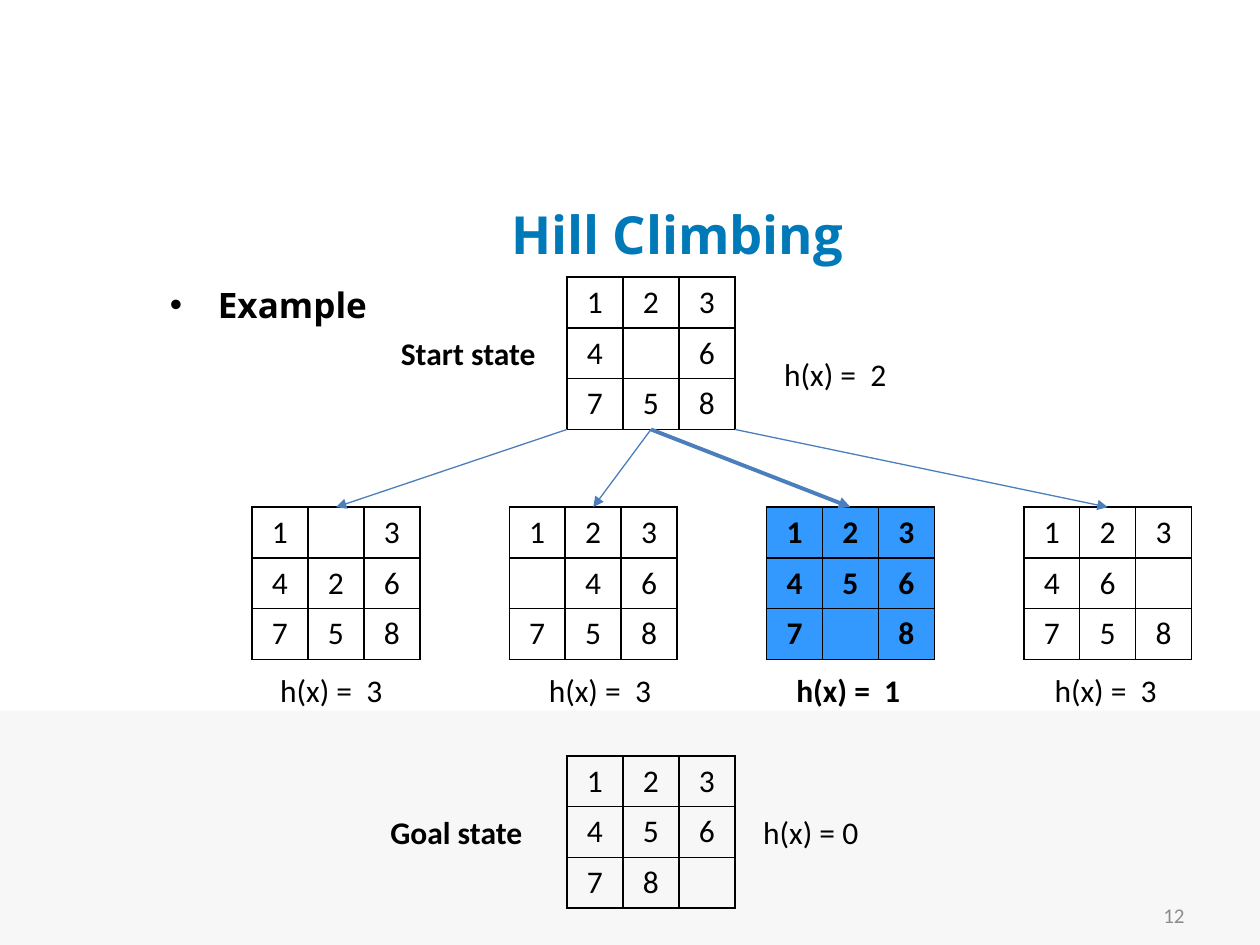
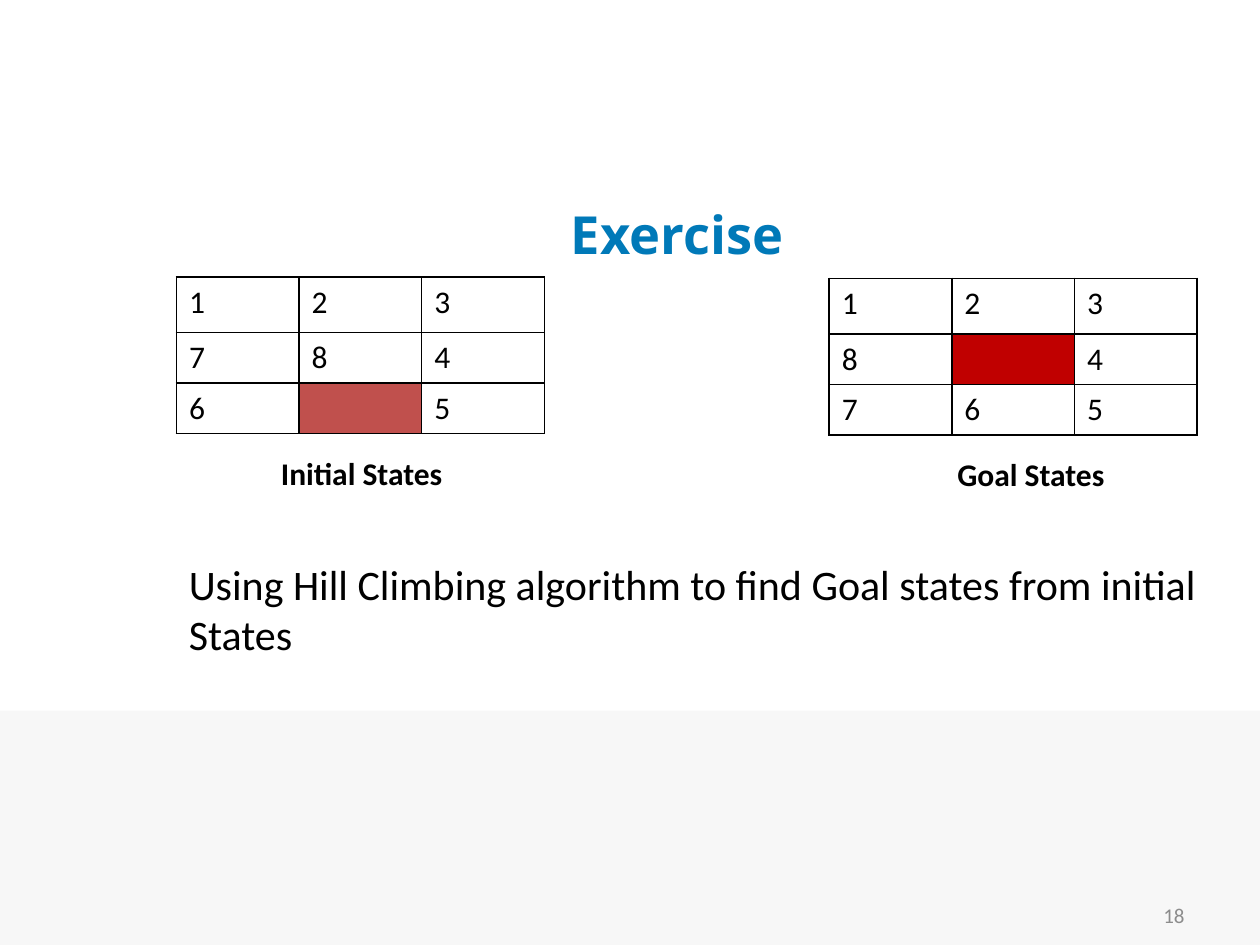
"""Build two slides on hill climbing with the 8-puzzle."""
import dataclasses

import lxml.etree
import pptx
import pptx.dml.color
import pptx.enum.shapes
import pptx.enum.text
import pptx.oxml.ns
import pptx.slide
import pptx.text.text
import pptx.util

Pt = pptx.util.Pt
Align = pptx.enum.text.PP_ALIGN
Anchor = pptx.enum.text.MSO_ANCHOR
qn = pptx.oxml.ns.qn


@dataclasses.dataclass(frozen=True)
class Theme:
    heading_font: str = "Open Sans"
    body_font: str = "Calibri"
    title_color: str = "0079B8"
    ink: str = "000000"
    muted: str = "8C8C8C"
    band: str = "F7F7F7"
    arrow: str = "4B7EBC"
    best: str = "3399FF"
    initial_blank: str = "C0504D"
    goal_blank: str = "C00000"
    title_size: float = 30
    task_size: float = 24
    bullet_size: float = 20
    text_size: float = 18
    number_size: float = 12


THEME = Theme()


@dataclasses.dataclass(frozen=True)
class Style:
    size: float = THEME.text_size
    color: str = THEME.ink
    font: str = THEME.body_font
    bold: bool = False


PLAIN = Style()
STRONG = Style(bold=True)
TITLE = Style(THEME.title_size, THEME.title_color, THEME.heading_font, True)
BULLET = Style(THEME.bullet_size, THEME.ink, THEME.heading_font, True)
NUMBER = Style(THEME.number_size, THEME.muted)
TASK = Style(THEME.task_size)


@dataclasses.dataclass(frozen=True)
class Box:
    left: float
    top: float
    width: float
    height: float = 29


@dataclasses.dataclass(frozen=True)
class Label:
    text: str
    box: Box
    style: Style = PLAIN


@dataclasses.dataclass(frozen=True)
class GridLook:
    column: float
    rows: tuple[float, ...]
    align: Align
    anchor: Anchor
    pad: float


@dataclasses.dataclass(frozen=True)
class Puzzle:
    tiles: tuple[str, str, str]
    left: float
    top: float
    style: Style = PLAIN
    fill: str | None = None
    blank_fill: str | None = None


@dataclasses.dataclass(frozen=True)
class Successor:
    tiles: tuple[str, str, str]
    score: str
    label_left: float
    label_width: float
    arrow_start: float
    best: bool = False


COMPACT = GridLook(32, (29, 29, 29), Align.CENTER, Anchor.MIDDLE, 3)
WIDE = GridLook(70.1, (31.7, 28.4, 28.4), Align.LEFT, Anchor.TOP, 3.6)

START = Puzzle(("123", "4 6", "758"), 324, 158.4)
GOAL = Puzzle(("123", "456", "78 "), 324, 432)
START_WIDTH = 3 * COMPACT.column
START_BOTTOM = START.top + sum(COMPACT.rows)
SUCCESSOR_LEFT, SUCCESSOR_STEP, SUCCESSOR_TOP = 144, 147, 289.8
SUCCESSORS = (
    Successor(("1 3", "426", "758"), "h(x) =  3", 153, 77, 0),
    Successor(("123", " 46", "758"), "h(x) =  3", 306.5, 74, 0.5),
    Successor(("123", "456", "7 8"), "h(x) =  1", 448, 75, 0.5, True),
    Successor(("123", "46 ", "758"), "h(x) =  3", 595.5, 74, 1),
)
SEARCH_LABELS = (
    Label("Start state", Box(222, 187.2, 92), STRONG),
    Label("Goal state", Box(216, 460.8, 91), STRONG),
    Label("h(x) =  2", Box(441, 199.4, 78)),
    Label("h(x) = 0", Box(429, 460.8, 74)),
)
EXERCISE_PUZZLES = (
    Puzzle(("123", "784", "6 5"), 100.8, 158.4, blank_fill=THEME.initial_blank),
    Puzzle(("123", "8 4", "765"), 473.8, 159.1, blank_fill=THEME.goal_blank),
)
EXERCISE_LABELS = (
    Label("Initial States", Box(153.4, 255.6, 107), STRONG),
    Label("Goal States", Box(540, 256.3, 99.4), STRONG),
)


def rgb(color: str) -> pptx.dml.color.RGBColor:
    return pptx.dml.color.RGBColor.from_string(color)


def add_run(paragraph: pptx.text.text._Paragraph, text: str, style: Style) -> None:
    run = paragraph.add_run()
    run.text = text
    run.font.name = style.font
    run.font.size = Pt(style.size)
    run.font.bold = style.bold
    run.font.color.rgb = rgb(style.color)


def add_text(
    slide: pptx.slide.Slide,
    label: Label,
    align: Align = Align.LEFT,
    anchor: Anchor = Anchor.TOP,
    wrap: bool = True,
) -> pptx.text.text._Paragraph:
    box = label.box
    frame = slide.shapes.add_textbox(
        Pt(box.left), Pt(box.top), Pt(box.width), Pt(box.height)
    ).text_frame
    frame.word_wrap = wrap
    frame.vertical_anchor = anchor
    if not wrap:
        frame.auto_size = pptx.enum.text.MSO_AUTO_SIZE.SHAPE_TO_FIT_TEXT
    paragraph = frame.paragraphs[0]
    paragraph.alignment = align
    add_run(paragraph, label.text, label.style)
    return paragraph


def add_labels(slide: pptx.slide.Slide, labels: tuple[Label, ...]) -> None:
    for label in labels:
        add_text(slide, label, wrap=False)


def add_bullet(slide: pptx.slide.Slide, label: Label) -> None:
    properties = add_text(slide, label)._p.get_or_add_pPr()
    properties.set("marL", str(Pt(27.4)))
    properties.set("indent", str(-Pt(27.4)))
    lxml.etree.SubElement(properties, qn("a:buFont"), typeface="Arial")
    lxml.etree.SubElement(properties, qn("a:buChar"), char="•")


def add_borders(cell: pptx.table._Cell) -> None:
    properties = cell._tc.get_or_add_tcPr()
    for side in ("lnL", "lnR", "lnT", "lnB"):
        border = lxml.etree.SubElement(properties, qn(f"a:{side}"), w=str(Pt(1)))
        fill = lxml.etree.SubElement(border, qn("a:solidFill"))
        lxml.etree.SubElement(fill, qn("a:srgbClr"), val=THEME.ink)


def add_puzzle(slide: pptx.slide.Slide, puzzle: Puzzle, look: GridLook) -> None:
    table = slide.shapes.add_table(
        3, 3, Pt(puzzle.left), Pt(puzzle.top), Pt(3 * look.column), Pt(sum(look.rows))
    ).table
    table.first_row = table.horz_banding = False
    for column in table.columns:
        column.width = Pt(look.column)
    for row, height, tiles in zip(table.rows, look.rows, puzzle.tiles):
        row.height = Pt(height)
        for cell, tile in zip(row.cells, tiles):
            add_borders(cell)
            cell.margin_top = cell.margin_bottom = Pt(look.pad)
            cell.vertical_anchor = look.anchor
            blank = tile == " "
            color = (puzzle.blank_fill if blank else None) or puzzle.fill
            if color:
                cell.fill.solid()
                cell.fill.fore_color.rgb = rgb(color)
            else:
                cell.fill.background()
            paragraph = cell.text_frame.paragraphs[0]
            paragraph.alignment = look.align
            if not blank:
                add_run(paragraph, tile, puzzle.style)


def add_arrow(
    slide: pptx.slide.Slide,
    start: tuple[float, float],
    end: tuple[float, float],
    weight: float,
) -> None:
    arrow = slide.shapes.add_connector(
        pptx.enum.shapes.MSO_CONNECTOR.STRAIGHT, *map(Pt, start + end)
    )
    arrow.line.color.rgb = rgb(THEME.arrow)
    arrow.line.width = Pt(weight)
    line = arrow.line._get_or_add_ln()
    lxml.etree.SubElement(line, qn("a:tailEnd"), type="triangle")
    lxml.etree.SubElement(arrow._element.spPr, qn("a:effectLst"))


def add_slide(
    deck: pptx.presentation.Presentation, title: str, number: str
) -> pptx.slide.Slide:
    slide = deck.slides.add_slide(deck.slide_layouts[6])
    band = slide.shapes.add_shape(
        pptx.enum.shapes.MSO_SHAPE.RECTANGLE, Pt(0), Pt(406), Pt(720), Pt(134)
    )
    band.shadow.inherit = False
    band.fill.solid()
    band.fill.fore_color.rgb = rgb(THEME.band)
    band.line.fill.background()
    heading = Label(title, Box(90, 108, 594, 50.4), TITLE)
    add_text(slide, heading, Align.CENTER, Anchor.MIDDLE)
    footer = Label(number, Box(516, 508.5, 168, 28.8), NUMBER)
    add_text(slide, footer, Align.RIGHT, Anchor.MIDDLE)
    return slide


def build_search(deck: pptx.presentation.Presentation) -> None:
    slide = add_slide(deck, "Hill Climbing", "12")
    add_bullet(slide, Label("Example", Box(90, 158.4, 599, 351.4), BULLET))
    for puzzle in (START, GOAL):
        add_puzzle(slide, puzzle, COMPACT)
    for index, successor in enumerate(SUCCESSORS):
        left = SUCCESSOR_LEFT + index * SUCCESSOR_STEP
        style = STRONG if successor.best else PLAIN
        fill = THEME.best if successor.best else None
        state = Puzzle(successor.tiles, left, SUCCESSOR_TOP, style, fill)
        add_puzzle(slide, state, COMPACT)
        add_arrow(
            slide,
            (START.left + successor.arrow_start * START_WIDTH, START_BOTTOM),
            (left + START_WIDTH / 2, SUCCESSOR_TOP),
            2.25 if successor.best else 0.75,
        )
        score_box = Box(successor.label_left, 379.8, successor.label_width)
        add_labels(slide, (Label(successor.score, score_box, style),))
    add_labels(slide, SEARCH_LABELS)


def build_exercise(deck: pptx.presentation.Presentation) -> None:
    slide = add_slide(deck, "Exercise", "18")
    for puzzle in EXERCISE_PUZZLES:
        add_puzzle(slide, puzzle, WIDE)
    add_labels(slide, EXERCISE_LABELS)
    task = "Using Hill Climbing algorithm to find Goal states from initial States"
    add_text(slide, Label(task, Box(100.8, 315.4, 619.2, 65.5), TASK))


def main() -> None:
    deck = pptx.Presentation()
    deck.slide_width, deck.slide_height = Pt(720), Pt(540)
    build_search(deck)
    build_exercise(deck)
    deck.save("out.pptx")


if __name__ == "__main__":
    main()
